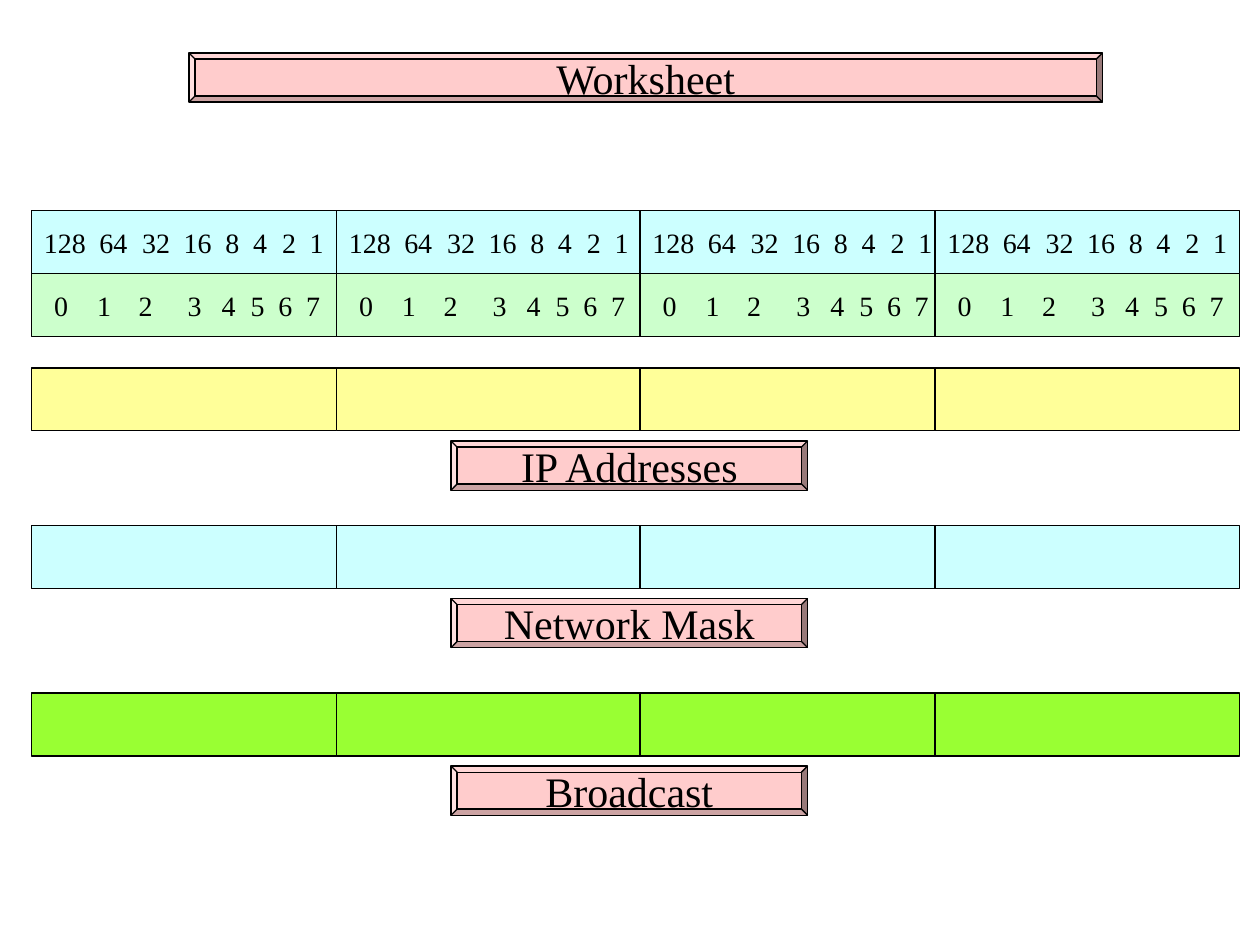
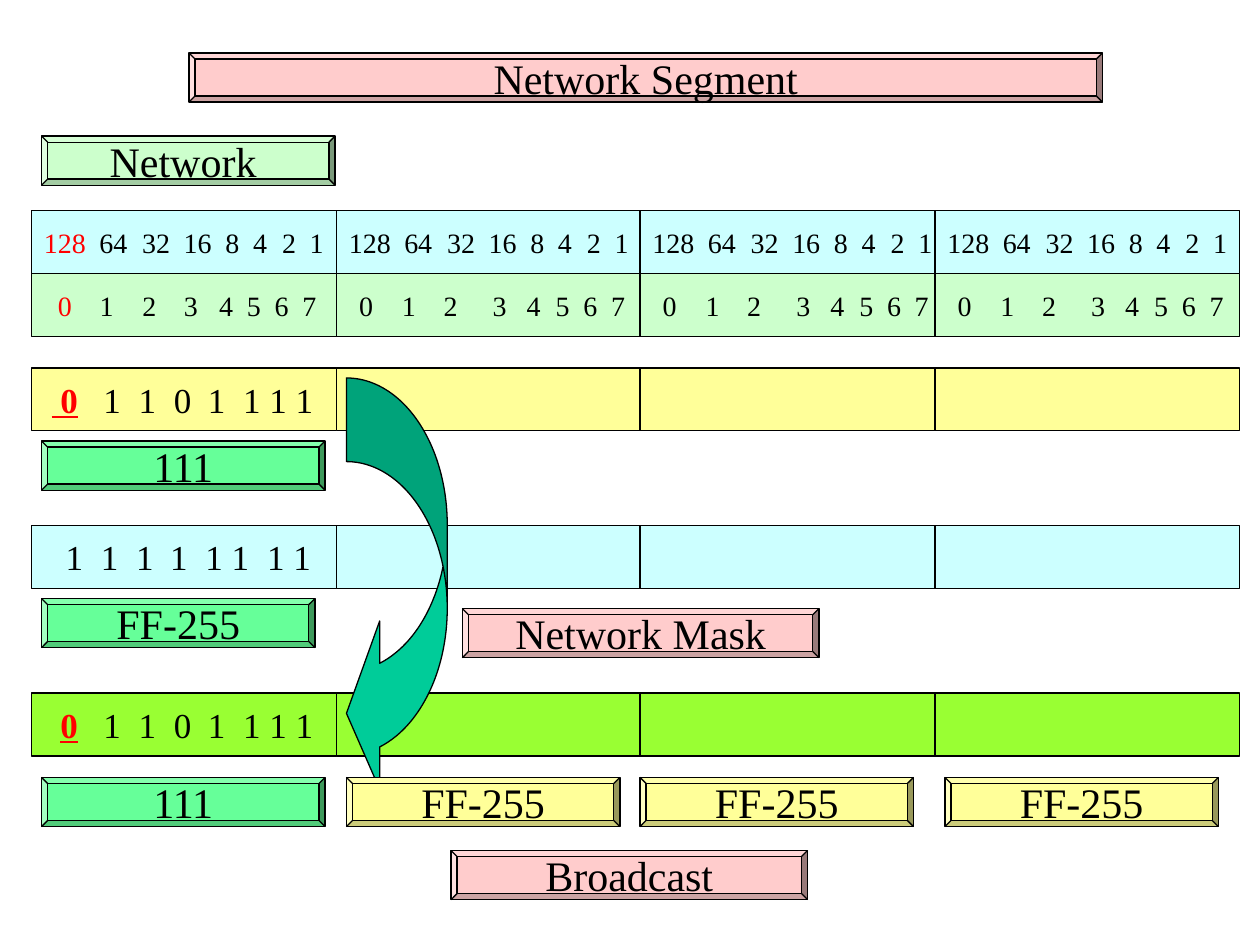
from dataclasses import dataclass

import pptx
import pptx.util
import pptx.dml.color
import pptx.enum.shapes
import pptx.enum.text
import pptx.oxml.ns
from lxml import etree

Inches = pptx.util.Inches
SHAPE = pptx.enum.shapes.MSO_SHAPE
ALIGN = pptx.enum.text.PP_ALIGN


@dataclass(frozen=True)
class Theme:
    font: str = "Times New Roman"
    ink: str = "000000"
    mark: str = "FF0000"
    pink: str = "FFCCCC"
    sky: str = "CCFFFF"
    pale: str = "CCFFCC"
    cream: str = "FFFF99"
    lime: str = "99FF33"
    mint: str = "66FF99"
    teal: str = "00CC99"
    small: int = 16
    bit: int = 20
    label: int = 24
    line: float = 0.75


T = Theme()

# Grid: four octets, and the top of each band
COLS = (0.25, 2.67, 5.08, 7.42)
WIDE, TALL, TAG = 2.42, 0.5, 0.39
BAND = (1.5, 0.42, 7.25, TAG)
ROWS = {
    "weight": (1.67, T.sky),
    "index": (2.17, T.pale),
    "address": (2.92, T.cream),
    "mask": (4.17, T.sky),
    "cast": (5.5, T.lime),
}

# Digits of a cell: groups, start of each group, type size, first one marked
WEIGHTS = ("128", "64", "32", "16", "8", "4", "2", "1")
PLACES = tuple("01234567")
BITS = ("0", "1", "1", "0", "1", "1 1 1")
ONES = ("1", "1", "1", "1", "1 1", "1 1")
W_STOPS = (0.1, 0.54, 0.88, 1.21, 1.54, 1.76, 1.99, 2.21)
P_STOPS = (0.18, 0.52, 0.85, 1.24, 1.51, 1.74, 1.96, 2.18)
F_STOPS = (0.21, 0.54, 0.88, 1.21, 1.49, 1.71, 1.93, 2.15)
B_STOPS = (0.23, 0.57, 0.85, 1.13, 1.4, 1.68)
M_STOPS = (0.27, 0.55, 0.83, 1.1, 1.38, 1.87)
A_STOPS = (0.16,) + B_STOPS[1:]

HEADS = {
    "weight": [(WEIGHTS, W_STOPS, T.small, False)] * 4,
    "index": [(PLACES, P_STOPS, T.small, False)] * 4,
}
FIRST = {
    "weight": (WEIGHTS, W_STOPS, T.small, True),
    "index": (PLACES, F_STOPS, T.small, True),
    "address": ((" 0",) + BITS[1:], A_STOPS, T.bit, True),
    "mask": (ONES, M_STOPS, T.bit, False),
    "cast": (BITS, B_STOPS, T.bit, True),
}

# Labels: text, left, top, width, fill
SLIDES = [
    {
        "title": "Worksheet",
        "first": {},
        "arrow": None,
        "under": [
            ("IP Addresses", 3.58, 3.5, 2.83, T.pink),
            ("Network Mask", 3.58, 4.75, 2.83, T.pink),
            ("Broadcast", 3.58, 6.08, 2.83, T.pink),
        ],
        "over": [],
    },
    {
        "title": "Network Segment",
        "first": FIRST,
        "arrow": (2.75, 3, 0.8, 3.33),
        "under": [
            ("111", 0.33, 3.5, 2.25, T.mint),
            ("Network Mask", 3.67, 4.83, 2.83, T.pink),
            ("Broadcast", 3.58, 6.75, 2.83, T.pink),
            ("Network ", 0.33, 1.08, 2.33, T.pale),
            ("FF-255", 0.33, 4.75, 2.17, T.mint),
        ],
        "over": [("111", 0.33, 6.17, 2.25, T.mint)]
        + [("FF-255", x, 6.17, 2.17, T.cream) for x in (2.75, 5.08, 7.5)],
    },
]


def tint(code):
    return pptx.dml.color.RGBColor.from_string(code)


def add_part(slide, kind, box, fill):
    shape = slide.shapes.add_shape(kind, *map(Inches, box))
    shape.shadow.inherit = False
    shape.fill.solid()
    shape.fill.fore_color.rgb = tint(fill)
    shape.line.color.rgb = tint(T.ink)
    shape.line.width = pptx.util.Pt(T.line)
    return shape


def add_run(para, text, size, color=T.ink):
    run = para.add_run()
    run.text = text
    run.font.name = T.font
    run.font.size = pptx.util.Pt(size)
    run.font.color.rgb = tint(color)
    return run


def fill_label(shape, text):
    frame = shape.text_frame
    frame.auto_size = pptx.enum.text.MSO_AUTO_SIZE.NONE
    frame.word_wrap = False
    frame.margin_top = frame.margin_bottom = 0
    frame.vertical_anchor = pptx.enum.text.MSO_ANCHOR.MIDDLE
    para = frame.paragraphs[0]
    para.alignment = ALIGN.CENTER
    add_run(para, text, T.label)


def add_bevel(slide, box, fill):
    shape = add_part(slide, SHAPE.BEVEL, box, fill)
    shape.adjustments[0] = 0.125
    return shape


def add_label(slide, text, left, top, width, fill):
    fill_label(add_bevel(slide, (left, top, width, TAG), fill), text)


def set_title(slide, text):
    """Lay the title placeholder over a bevelled band."""
    title = slide.shapes.title
    title.left, title.top, title.width, title.height = map(Inches, BAND)
    fill_label(title, text)
    band = add_bevel(slide, BAND, T.pink)
    title._element.addprevious(band._element)


def fill_digits(shape, words, stops, size, marked):
    """Set the groups of a cell at tab stops, the first at the left inset."""
    frame = shape.text_frame
    frame.word_wrap = True
    frame.margin_left, frame.margin_right = Inches(stops[0]), 0
    frame.vertical_anchor = pptx.enum.text.MSO_ANCHOR.MIDDLE
    para = frame.paragraphs[0]
    para.alignment = ALIGN.LEFT
    name = pptx.oxml.ns.qn
    tabs = etree.SubElement(para._p.get_or_add_pPr(), name("a:tabLst"))
    for stop in stops[1:]:
        etree.SubElement(tabs, name("a:tab"),
                         pos=str(Inches(stop - stops[0])), algn="l")
    lead = add_run(para, words[0], size, T.mark if marked else T.ink)
    if marked and size == T.bit:
        lead.font.bold = lead.font.underline = True
    add_run(para, "\t" + "\t".join(words[1:]), size)


def add_grid(slide, first):
    for row, (top, fill) in ROWS.items():
        cells = list(HEADS.get(row, [None] * 4))
        cells[0] = first.get(row, cells[0])
        for left, cell in zip(COLS, cells):
            shape = add_part(slide, SHAPE.RECTANGLE, (left, top, WIDE, TALL), fill)
            if cell:
                fill_digits(shape, *cell)


def add_arrow(slide, box):
    arrow = add_part(slide, SHAPE.CURVED_LEFT_ARROW, box, T.teal)
    for i, value in enumerate((0.83, 1.67, 0.33)):
        arrow.adjustments[i] = value


def main():
    deck = pptx.Presentation()
    deck.slide_width, deck.slide_height = Inches(10), Inches(7.5)
    for page in SLIDES:
        slide = deck.slides.add_slide(deck.slide_layouts[5])
        set_title(slide, page["title"])
        add_grid(slide, page["first"])
        for label in page["under"]:
            add_label(slide, *label)
        if page["arrow"]:
            add_arrow(slide, page["arrow"])
        for label in page["over"]:
            add_label(slide, *label)
    deck.save("out.pptx")


if __name__ == "__main__":
    main()
